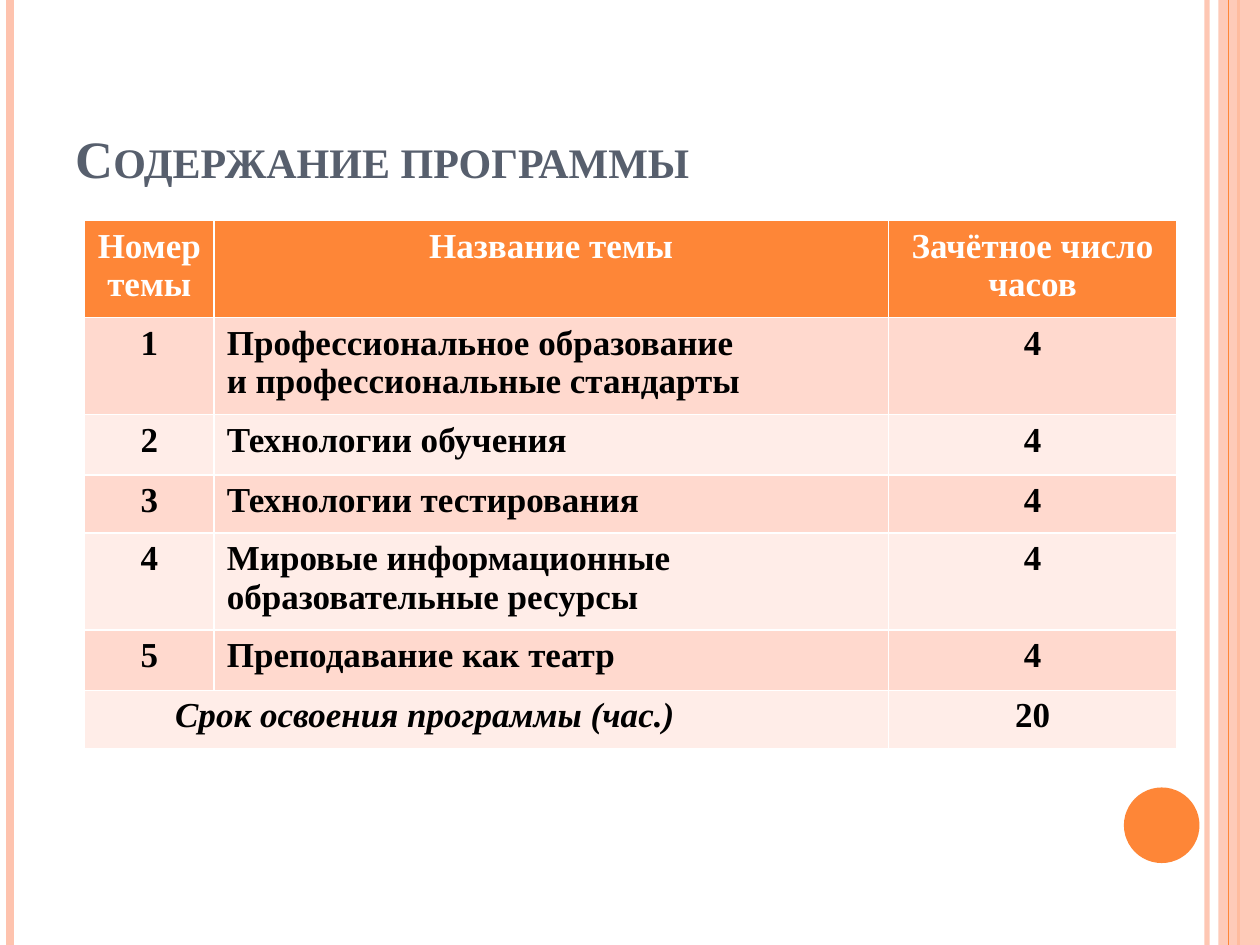
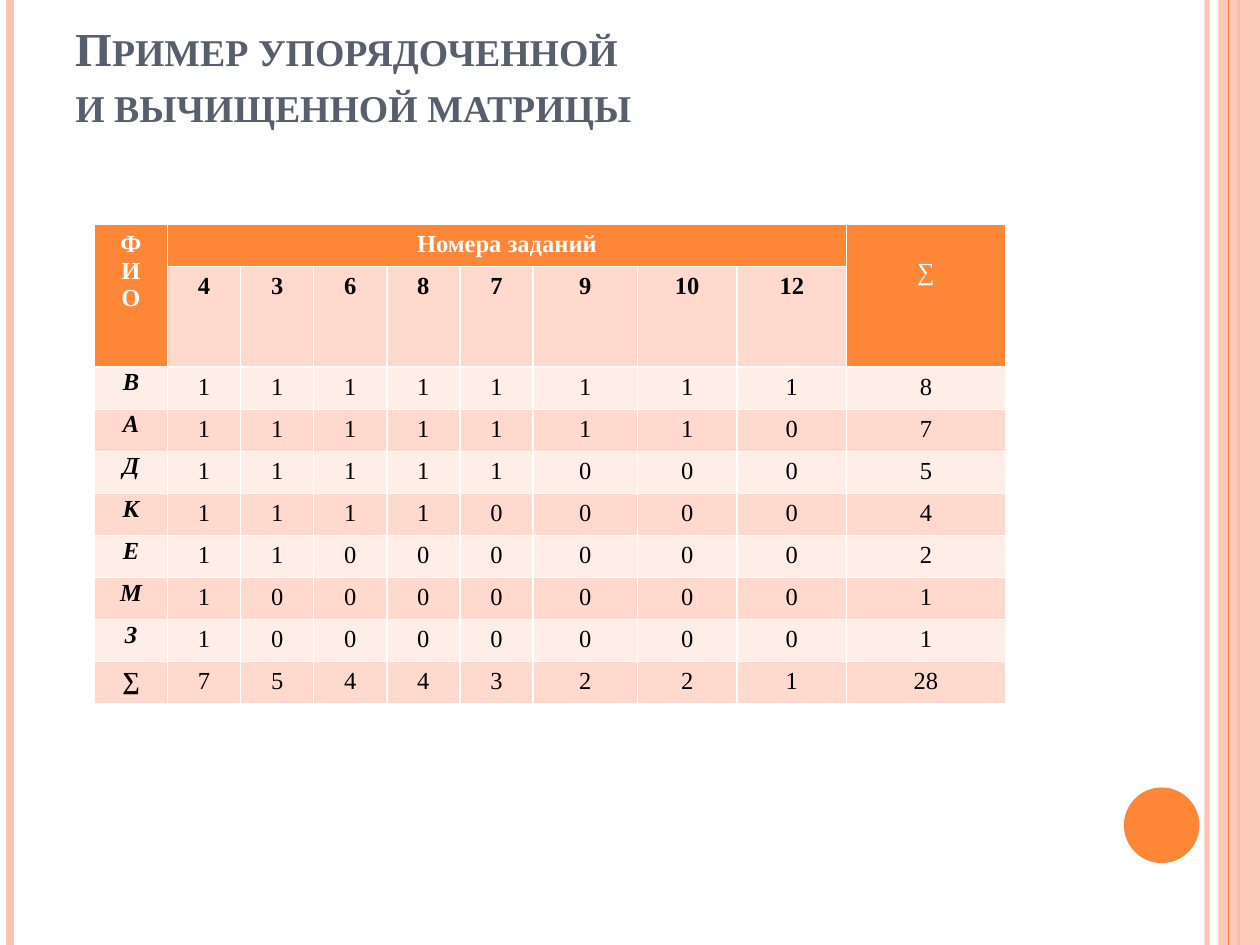
from dataclasses import dataclass

from lxml import etree
from pptx import Presentation
from pptx.dml.color import RGBColor
from pptx.enum.shapes import MSO_CONNECTOR, MSO_SHAPE
from pptx.enum.text import MSO_ANCHOR, PP_ALIGN
from pptx.oxml.ns import qn
from pptx.util import Inches, Pt

# Shared look
FONT = "Times New Roman"
ORANGE, PEACH = "FE8637", "FEC3AE"
SLATE, WHITE, BLACK = "575F6D", "FFFFFF", "000000"
BANDS = ("FFEDE8", "FFD9CE")  # even rows, odd rows


@dataclass(frozen=True)
class Rule:
    x: float
    color: str
    width: float
    alpha: int = 100


@dataclass(frozen=True)
class Cell:
    lines: tuple[str, ...]
    color: str = BLACK
    bold: bool = True
    italic: bool = False
    align: PP_ALIGN = PP_ALIGN.CENTER
    spacing: float | None = None
    span: tuple[int, int] = (1, 1)
    left: float = 0.1
    top: float = 0.05


@dataclass(frozen=True)
class Grid:
    left: float
    top: float
    cols: list[float]
    rows: list[float]
    size: int
    cells: list[list[Cell | None]]  # None is covered by a merged cell


RULES_BEHIND = (Rule(9.58, PEACH, 3, 93), Rule(0.08, PEACH, 4.5), Rule(9.83, ORANGE, 1.5))
RULE_FRONT = Rule(9.75, ORANGE, 0.75)


def rgb(color: str) -> RGBColor:
    return RGBColor.from_string(color)


def set_alpha(parent, percent: int) -> None:
    """Make the solid colour found under an XML element translucent."""
    if percent < 100:
        clr = next(parent.iter(qn("a:srgbClr")))
        etree.SubElement(clr, qn("a:alpha")).set("val", str(percent * 1000))


def add_run(p, text: str, size: float, color: str, bold: bool = True, italic: bool = False):
    r = p.add_run()
    r.text = text
    f = r.font
    f.name, f.size, f.bold, f.italic = FONT, Pt(size), bold, italic
    f.color.rgb = rgb(color)
    return r


def draw_rule(s, rule: Rule) -> None:
    x = Inches(rule.x)
    line = s.shapes.add_connector(MSO_CONNECTOR.STRAIGHT, x, 0, x, Inches(7.5))
    line.line.color.rgb = rgb(rule.color)
    line.line.width = Pt(rule.width)
    sp_pr = line._element.spPr
    set_alpha(sp_pr, rule.alpha)
    etree.SubElement(sp_pr, qn("a:effectLst"))


def draw_shape(s, kind, x: float, y: float, w: float, h: float, color: str, alpha: int = 100) -> None:
    sp = s.shapes.add_shape(kind, Inches(x), Inches(y), Inches(w), Inches(h))
    sp.shadow.inherit = False
    sp.fill.solid()
    sp.fill.fore_color.rgb = rgb(color)
    sp.line.fill.background()
    set_alpha(sp._element.spPr, alpha)


def draw_frame(s) -> None:
    for rule in RULES_BEHIND:
        draw_rule(s, rule)
    draw_shape(s, MSO_SHAPE.RECTANGLE, 9.67, 0, 0.33, 7.5, PEACH, 87)
    draw_rule(s, RULE_FRONT)
    draw_shape(s, MSO_SHAPE.OVAL, 8.92, 6.25, 0.6, 0.6, ORANGE)


def draw_title(s, lines: list[str], size: float, bottom: float = 0.05) -> None:
    tf = s.shapes.add_textbox(Inches(0.5), Inches(0.3), Inches(8.17), Inches(1.25)).text_frame
    tf.word_wrap = True
    tf.vertical_anchor = MSO_ANCHOR.BOTTOM
    tf.margin_top, tf.margin_bottom = 0, Inches(bottom)
    p = tf.paragraphs[0]
    for i, line in enumerate(lines):
        if i:
            p.add_line_break()
        r = add_run(p, line, size, SLATE)
        r.font._element.set("cap", "small")


def fill_cell(tc, cell: Cell, size: int, fill: str) -> None:
    tc.margin_left, tc.margin_top = Inches(cell.left), Inches(cell.top)
    tc.fill.solid()
    tc.fill.fore_color.rgb = rgb(fill)
    tf = tc.text_frame
    for i, line in enumerate(cell.lines):
        p = tf.add_paragraph() if i else tf.paragraphs[0]
        p.alignment = cell.align
        if cell.spacing:
            p.line_spacing = cell.spacing
        add_run(p, line, size, cell.color, cell.bold, cell.italic)


def draw_grid(s, grid: Grid) -> None:
    # The default table style supplies the white borders
    table = s.shapes.add_table(len(grid.rows), len(grid.cols), Inches(grid.left), Inches(grid.top),
                               Inches(sum(grid.cols)), Inches(sum(grid.rows))).table
    for col, width in zip(table.columns, grid.cols):
        col.width = Inches(width)
    for row, height in zip(table.rows, grid.rows):
        row.height = Inches(height)
    for y, row in enumerate(grid.cells):
        for x, cell in enumerate(row):
            if cell is None:
                continue
            tc = table.cell(y, x)
            if cell.span != (1, 1):
                tc.merge(table.cell(y + cell.span[0] - 1, x + cell.span[1] - 1))
            fill_cell(tc, cell, grid.size, BANDS[y % 2] if y else ORANGE)


def program_grid() -> Grid:
    topics = [
        ("Профессиональное образование", "и профессиональные стандарты"),
        ("Технологии обучения",),
        ("Технологии тестирования",),
        ("Мировые информационные образовательные ресурсы",),
        ("Преподавание как театр",),
    ]
    hours = 4
    heads = ("Номер темы", "Название темы", "Зачётное число часов")
    cells = [[Cell((head,), WHITE) for head in heads]]
    for number, topic in enumerate(topics, 1):
        cells.append([Cell((str(number),)), Cell(topic, align=PP_ALIGN.LEFT), Cell((str(hours),))])
    total = Cell(("Срок освоения программы (час.)",), italic=True, align=PP_ALIGN.LEFT,
                 span=(1, 2), left=0.72)
    cells.append([total, None, Cell((str(hours * len(topics)),))])
    return Grid(0.67, 1.75, [1.03, 5.35, 2.29],
                [0.77, 0.77, 0.48, 0.46, 0.77, 0.48, 0.46], 20, cells)


def matrix_grid() -> Grid:
    tasks = (4, 3, 6, 8, 7, 9, 10, 12)
    scores = {"В": 8, "А": 7, "Д": 5, "К": 4, "Е": 2, "М": 1, "З": 1}
    n = len(tasks)

    def plain(values) -> list[Cell]:
        return [Cell((str(v),), bold=False) for v in values]

    cells = [
        [Cell(("Ф", "И", "О"), WHITE, span=(2, 1)),
         Cell(("Номера заданий",), WHITE, span=(1, n)), *[None] * (n - 1),
         Cell(("∑",), WHITE, bold=False, span=(2, 1), top=0.27)],
        [None, *[Cell((str(task),)) for task in tasks], None],
    ]
    # Ordered matrix: each person solves the easiest tasks first
    for name, score in scores.items():
        answers = [int(i < score) for i in range(n)]
        cells.append([Cell((name,), italic=True, spacing=0.8), *plain([*answers, score])])
    solved = [sum(score > i for score in scores.values()) for i in range(n)]
    cells.append([Cell(("∑",), italic=True), *plain([*solved, sum(solved)])])
    return Grid(0.75, 1.78, [0.58] * 6 + [0.83, 0.79, 0.87, 1.26],
                [0.31, 0.74] + [0.31] * 8, 14, cells)


prs = Presentation()
prs.slide_width, prs.slide_height = Inches(10), Inches(7.5)
blank = prs.slide_layouts[6]

# Slide 1: programme contents
s = prs.slides.add_slide(blank)
draw_frame(s)
draw_title(s, ["Содержание программы"], 30)
draw_grid(s, program_grid())

# Slide 2: ordered matrix of answers
s = prs.slides.add_slide(blank)
draw_frame(s)
draw_title(s, ["Пример упорядоченной", "и вычищенной матрицы"], 27, bottom=0.5)
draw_grid(s, matrix_grid())

prs.save("out.pptx")
